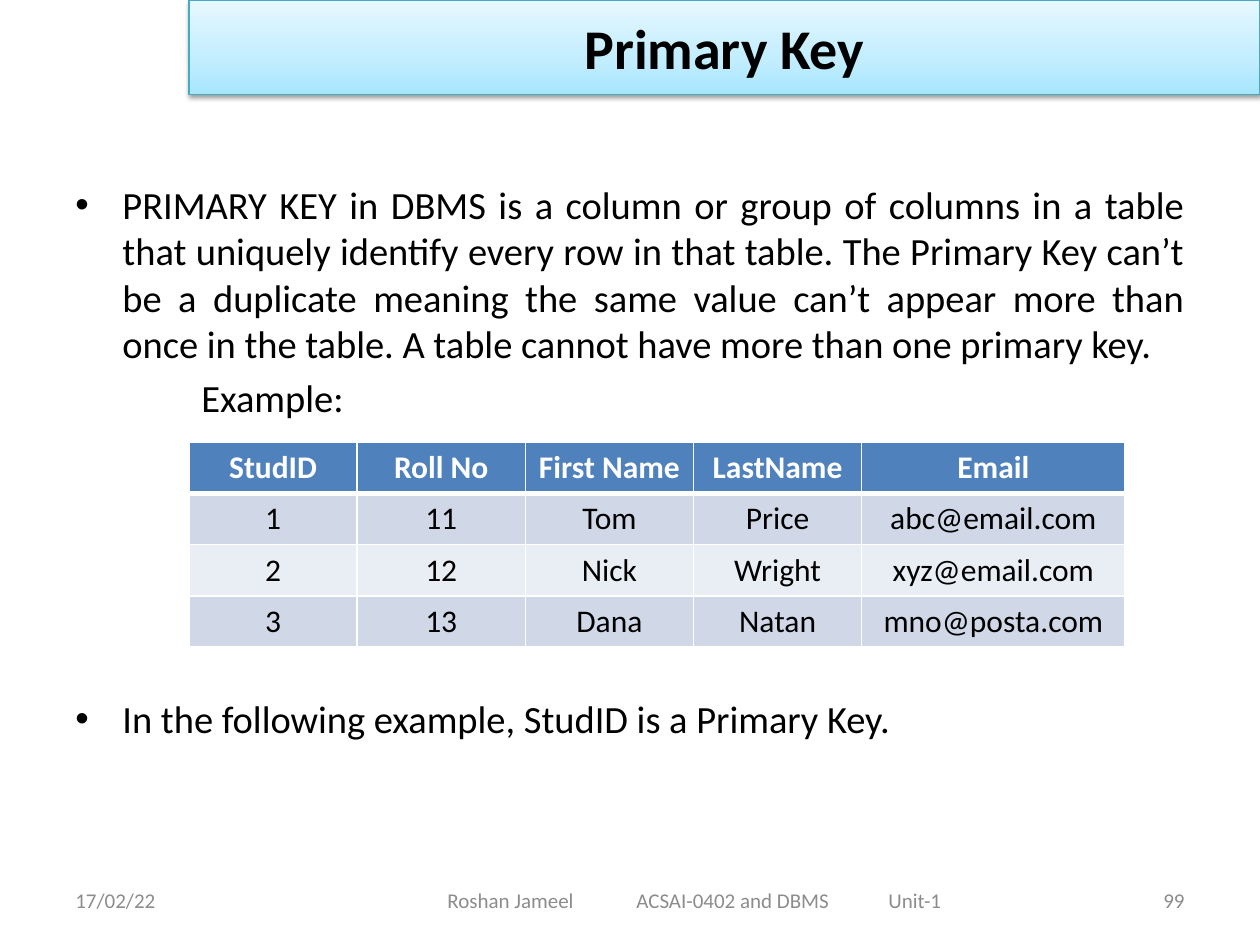
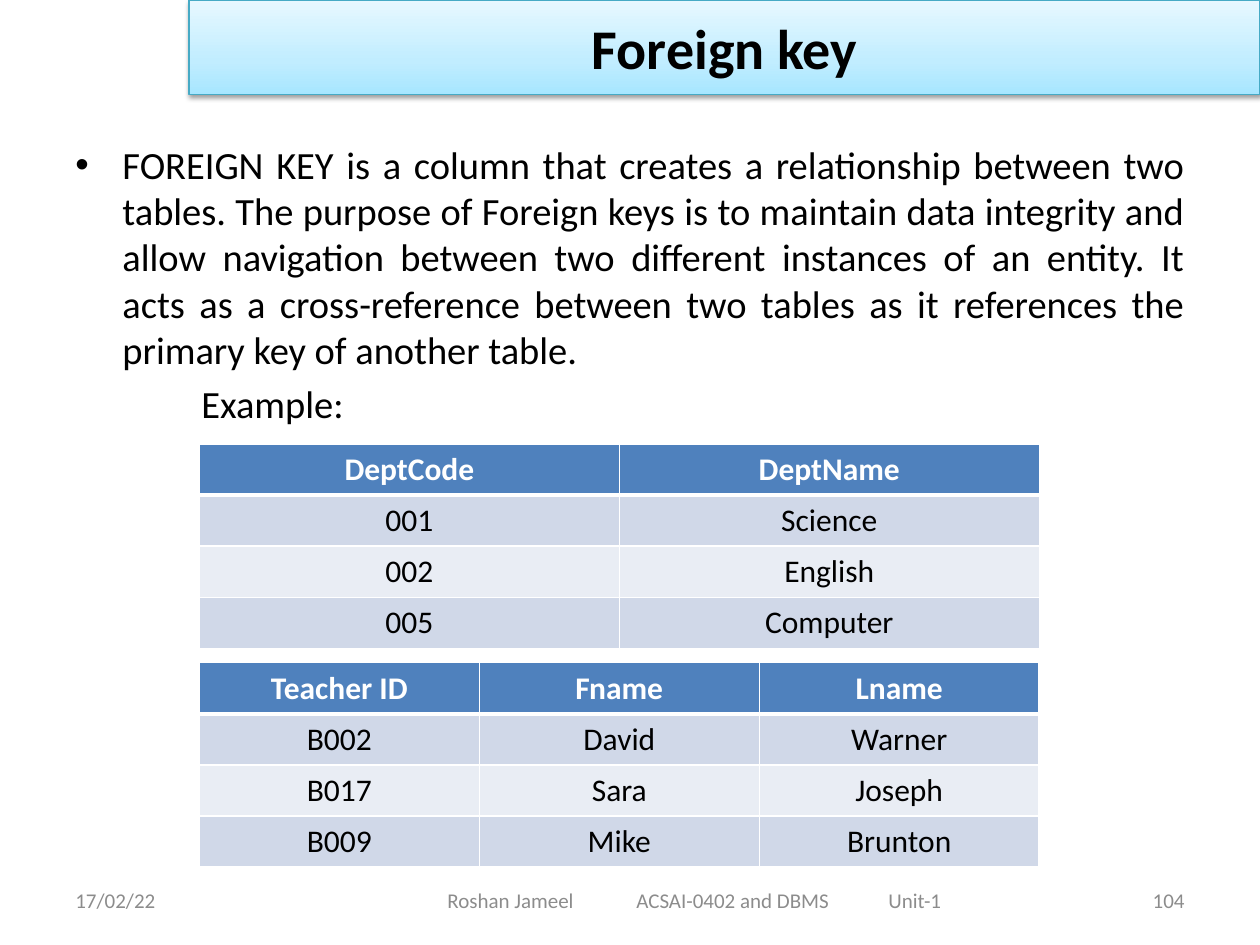
from dataclasses import dataclass

from lxml.etree import SubElement
from pptx import Presentation
from pptx.dml.color import RGBColor
from pptx.enum.shapes import MSO_SHAPE
from pptx.enum.text import MSO_ANCHOR, PP_ALIGN
from pptx.oxml import parse_xml
from pptx.oxml.ns import nsdecls, qn
from pptx.slide import Slide
from pptx.table import _Cell
from pptx.text.text import TextFrame
from pptx.util import Cm, Pt


@dataclass(frozen=True)
class Theme:
    font: str = "Calibri"
    ink: str = "000000"
    white: str = "FFFFFF"
    footer: str = "8C8C8C"
    band_line: str = "46AAC5"
    band_stops: tuple[tuple[int, str], ...] = (
        (0, "A7E6FF"), (35, "C1EDFF"), (100, "E7F8FF"))
    header_row: str = "4F81BD"
    odd_row: str = "D0D8E8"
    even_row: str = "E9EDF4"
    title_size: int = 32
    body_size: int = 22
    table_size: int = 18
    footer_size: int = 12


@dataclass(frozen=True)
class BodyText:
    text: str
    bullet: bool = True
    space_before: float = 4.4


@dataclass(frozen=True)
class DataTable:
    left: float
    top: float
    widths: tuple[float, ...]
    rows: tuple[tuple[str, ...], ...]


@dataclass(frozen=True)
class Page:
    title: str
    number: str
    body_top: float
    body: tuple[BodyText, ...]
    tables: tuple[DataTable, ...]


THEME = Theme()
SLIDE_WIDTH, SLIDE_HEIGHT = 25.4, 19.05
MARGIN = 1.27
BODY_BOTTOM = 17.02
BAND_LEFT, BAND_HEIGHT = 3.81, 1.9
FOOTER_TOP, FOOTER_HEIGHT, FOOTER_SIDE_WIDTH = 17.65, 1.01, 5.92
ROW_HEIGHT = 1.03
KEY_TABLE_WIDTH = 16.93

PAGES = (
    Page(
        "Primary Key", "99", 3.53,
        (
            BodyText(
                "PRIMARY KEY in DBMS is a column or group of columns in a table "
                "that uniquely identify every row in that table. The Primary Key "
                "can’t be a duplicate meaning the same value can’t appear more "
                "than once in the table. A table cannot have more than one "
                "primary key.", space_before=0),
            BodyText("Example:", bullet=False),
            BodyText("In the following example, StudID is a Primary Key.",
                     space_before=157.5),
        ),
        (
            DataTable(3.81, 8.92, (3.39,) * 4 + (5.31,), (
                ("StudID", "Roll No", "First Name", "LastName", "Email"),
                ("1", "11", "Tom", "Price", "abc@email.com"),
                ("2", "12", "Nick", "Wright", "xyz@email.com"),
                ("3", "13", "Dana", "Natan", "mno@posta.com"),
            )),
        ),
    ),
    Page(
        "Foreign key", "104", 2.72,
        (
            BodyText(
                "FOREIGN KEY is a column that creates a relationship between two "
                "tables. The purpose of Foreign keys is to maintain data "
                "integrity and allow navigation between two different instances "
                "of an entity. It acts as a cross-reference between two tables "
                "as it references the primary key of another table.",
                space_before=0),
            BodyText("Example:", bullet=False),
        ),
        (
            DataTable(4.02, 8.95, (KEY_TABLE_WIDTH / 2,) * 2, (
                ("DeptCode", "DeptName"),
                ("001", "Science"),
                ("002", "English"),
                ("005", "Computer"),
            )),
            DataTable(4.02, 13.36, (KEY_TABLE_WIDTH / 3,) * 3, (
                ("Teacher ID", "Fname", "Lname"),
                ("B002", "David", "Warner"),
                ("B017", "Sara", "Joseph"),
                ("B009", "Mike", "Brunton"),
            )),
        ),
    ),
)


def add_text(frame: TextFrame, text: str, *, size: int, color: str = THEME.ink,
             bold: bool = False, align: PP_ALIGN = PP_ALIGN.LEFT,
             space_before: float = 0, indent: float = 0, bullet: bool = False,
             tabs: tuple[float, ...] = ()) -> None:
    paragraph = frame.paragraphs[0]
    if paragraph.runs:
        paragraph = frame.add_paragraph()
    properties = paragraph._p.get_or_add_pPr()
    properties.set("marL", str(Cm(indent)))
    properties.set("indent", str(-Cm(indent) if bullet else 0))
    if bullet:
        SubElement(properties, qn("a:buFont"), typeface="Arial")
        SubElement(properties, qn("a:buChar"), char="•")
    if tabs:
        stops = SubElement(properties, qn("a:tabLst"))
        for position in tabs:
            SubElement(stops, qn("a:tab"), pos=str(Cm(position)), algn="l")
    paragraph.alignment = align
    paragraph.space_before = Pt(space_before)
    run = paragraph.add_run()
    run.text = text
    run.font.name = THEME.font
    run.font.size = Pt(size)
    run.font.bold = bold
    run.font.color.rgb = RGBColor.from_string(color)


def add_frame(slide: Slide, left: float, top: float, width: float, height: float,
              anchor: MSO_ANCHOR) -> TextFrame:
    frame = slide.shapes.add_textbox(
        Cm(left), Cm(top), Cm(width), Cm(height)).text_frame
    frame.word_wrap = True
    frame.vertical_anchor = anchor
    return frame


def add_title_band(slide: Slide, title: str) -> None:
    band = slide.shapes.add_shape(
        MSO_SHAPE.RECTANGLE, Cm(BAND_LEFT), 0,
        Cm(SLIDE_WIDTH - BAND_LEFT), Cm(BAND_HEIGHT))
    band.fill.gradient()
    band.fill.gradient_angle = 90
    properties = band._element.spPr
    stops = properties.find(".//" + qn("a:gsLst"))
    stops.clear()
    for position, color in THEME.band_stops:
        stop = SubElement(stops, qn("a:gs"), pos=str(position * 1000))
        SubElement(stop, qn("a:srgbClr"), val=color)
    band.line.color.rgb = RGBColor.from_string(THEME.band_line)
    band.line.width = Pt(0.75)
    band.shadow.inherit = False
    shadow = SubElement(
        properties.find(qn("a:effectLst")), qn("a:outerShdw"),
        blurRad=str(Pt(3.1)), dist=str(Pt(1.6)), dir="5400000", rotWithShape="0")
    shade = SubElement(shadow, qn("a:srgbClr"), val=THEME.ink)
    SubElement(shade, qn("a:alpha"), val="38000")
    band.text_frame.vertical_anchor = MSO_ANCHOR.MIDDLE
    add_text(band.text_frame, title, size=THEME.title_size, bold=True,
             align=PP_ALIGN.CENTER)


def add_footer(slide: Slide, number: str) -> None:
    number_left = SLIDE_WIDTH - MARGIN - FOOTER_SIDE_WIDTH
    date, course, page_number = (
        add_frame(slide, left, FOOTER_TOP, width, FOOTER_HEIGHT, MSO_ANCHOR.MIDDLE)
        for left, width in ((MARGIN, FOOTER_SIDE_WIDTH), (6.99, 13.97),
                            (number_left, FOOTER_SIDE_WIDTH)))
    course.margin_left = Cm(2.03)
    style = {"size": THEME.footer_size, "color": THEME.footer}
    add_text(date, "17/02/22", **style)
    add_text(course, "Roshan Jameel\tACSAI-0402 and DBMS\tUnit-1",
             tabs=(3.4, 8.81), **style)
    add_text(page_number, number, align=PP_ALIGN.RIGHT, **style)


def add_body(slide: Slide, top: float, body: tuple[BodyText, ...]) -> None:
    frame = add_frame(slide, MARGIN, top, SLIDE_WIDTH - 2 * MARGIN,
                      BODY_BOTTOM - top, MSO_ANCHOR.TOP)
    for item in body:
        add_text(frame, item.text, size=THEME.body_size, align=PP_ALIGN.JUSTIFY,
                 space_before=item.space_before, bullet=item.bullet,
                 indent=0.95 if item.bullet else 2.54)


def set_borders(cell: _Cell, top: float, bottom: float) -> None:
    properties = cell._tc.get_or_add_tcPr()
    widths = {"lnL": 1, "lnR": 1, "lnT": top, "lnB": bottom}
    for place, (side, width) in enumerate(widths.items()):
        properties.insert(place, parse_xml(
            f'<a:{side} {nsdecls("a")} w="{Pt(width)}"><a:solidFill>'
            f'<a:srgbClr val="{THEME.white}"/></a:solidFill></a:{side}>'))


def add_data_table(slide: Slide, data: DataTable) -> None:
    table = slide.shapes.add_table(
        len(data.rows), len(data.widths), Cm(data.left), Cm(data.top),
        Cm(sum(data.widths)), Cm(ROW_HEIGHT * len(data.rows))).table
    for column, width in zip(table.columns, data.widths):
        column.width = Cm(width)
    for r, values in enumerate(data.rows):
        table.rows[r].height = Cm(ROW_HEIGHT)
        header = r == 0
        fill = THEME.odd_row if r % 2 else THEME.even_row
        for c, value in enumerate(values):
            cell = table.cell(r, c)
            cell.fill.solid()
            cell.fill.fore_color.rgb = RGBColor.from_string(
                THEME.header_row if header else fill)
            cell.vertical_anchor = MSO_ANCHOR.MIDDLE
            set_borders(cell, top=3 if r == 1 else 1, bottom=3 if header else 1)
            add_text(cell.text_frame, value, size=THEME.table_size, bold=header,
                     color=THEME.white if header else THEME.ink,
                     align=PP_ALIGN.CENTER)


def main() -> None:
    presentation = Presentation()
    presentation.slide_width = Cm(SLIDE_WIDTH)
    presentation.slide_height = Cm(SLIDE_HEIGHT)
    for page in PAGES:
        slide = presentation.slides.add_slide(presentation.slide_layouts[6])
        add_footer(slide, page.number)
        add_title_band(slide, page.title)
        add_body(slide, page.body_top, page.body)
        for data in page.tables:
            add_data_table(slide, data)
    presentation.save("out.pptx")


if __name__ == "__main__":
    main()
